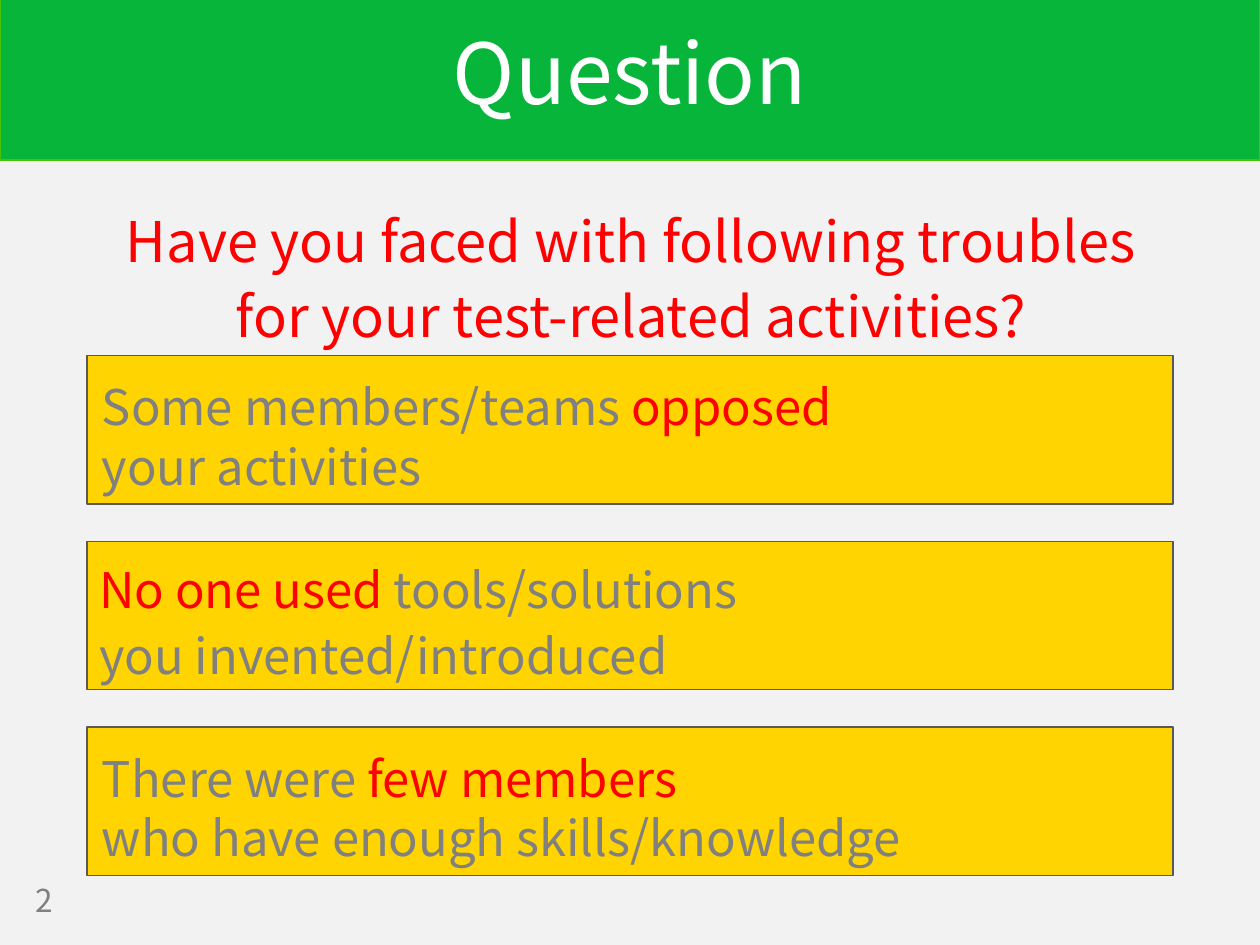
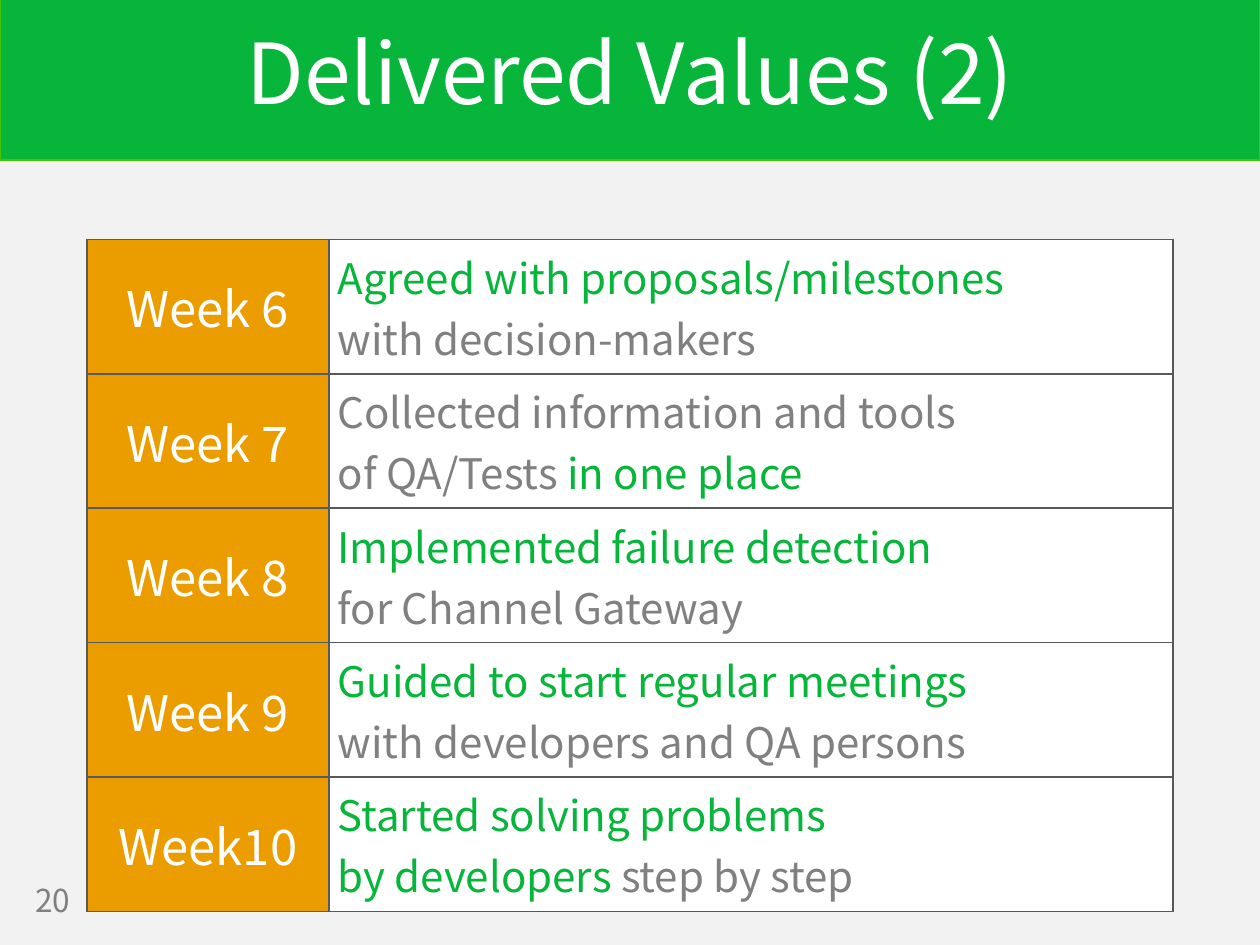
from lxml import etree
from pptx import Presentation
from pptx.dml.color import RGBColor
from pptx.enum import shapes, text
from pptx.oxml import ns
from pptx.util import Pt

COLORS = {
    "background": "F2F2F2", "band": "07B53B", "band_edge": "44C404",
    "white": "FFFFFF", "gray": "808080", "red": "FF0000", "green": "07B53B",
    "yellow": "FFD400", "orange": "EB9D00", "border": "595959",
}
FONT = "Noto Sans CJK JP"
WIDTH, HEIGHT = 720, 540
LEFT, CONTENT_WIDTH = 49.68, 620.64
LINE_PITCH, FIRST_LINE_DROP = 1.215, 0.236  # shares of the text size

# A paragraph is a list of (text, colour); "\n" at the end of a text breaks the line.
QUESTION = [
    [("Have you faced with following troubles", "red")],
    [("for your test-related activities?", "red")],
]
TROUBLES = [
    (1.44, [[("Some members/teams ", "gray"), ("opposed\n", "red"),
             ("your activities", "gray")]]),
    (0, [[("No one used", "red"), (" tools/solutions", "gray")],
         [("you invented/introduced", "gray")]]),
    (1.44, [[("There were ", "gray"), ("few members\n", "red"),
             ("who have enough skills/knowledge", "gray")]]),
]
WEEKS = [
    ("Week 6", [[("Agreed with proposals/milestones\n", "green"),
                 ("with decision-makers", "gray")]]),
    ("Week 7", [[("Collected information and tools", "gray")],
                [("of QA/Tests ", "gray"), ("in one place", "green")]]),
    ("Week 8", [[("Implemented failure detection", "green")],
                [("for Channel Gateway", "gray")]]),
    ("Week 9", [[("Guided to start regular meetings", "green")],
                [("with developers and QA persons", "gray")]]),
    ("Week10", [[("Started solving problems\n", "green"),
                 ("by developers", "green"), (" step by step", "gray")]]),
]


def rgb(name):
    return RGBColor.from_string(COLORS[name])


def write(frame, paragraphs, size, centered=False):
    frame.word_wrap = True
    frame.vertical_anchor = text.MSO_ANCHOR.MIDDLE
    for index, spans in enumerate(paragraphs):
        para = frame.add_paragraph() if index else frame.paragraphs[0]
        para.alignment = text.PP_ALIGN.CENTER if centered else text.PP_ALIGN.LEFT
        for content, color in spans:
            span = para.add_run()
            span.text = content.rstrip("\n")
            span.font.name, span.font.size = FONT, Pt(size)
            span.font.color.rgb = rgb(color)
            if content.endswith("\n"):
                para.add_line_break()


def tighten(frame, size, indent):
    """Set body text in close lines, with a small gap between paragraphs."""
    frame.margin_top = Pt(3.6 + FIRST_LINE_DROP * size)
    for index, para in enumerate(frame.paragraphs):
        para.line_spacing = Pt(round(LINE_PITCH * size, 1))
        para.space_before = Pt(3.8 if index else 0)
        properties = para._p.get_or_add_pPr()
        properties.set("marL", str(Pt(indent)))
        properties.set("indent", "0")


def add_text(page, place, paragraphs, size, centered=False):
    box = page.shapes.add_textbox(*map(Pt, place))
    write(box.text_frame, paragraphs, size, centered)
    return box


def add_panel(page, place, fill, line, line_width):
    panel = page.shapes.add_shape(shapes.MSO_SHAPE.RECTANGLE, *map(Pt, place))
    panel.shadow.inherit = False
    panel.fill.solid()
    panel.fill.fore_color.rgb = rgb(fill)
    panel.line.color.rgb = rgb(line)
    panel.line.width = Pt(line_width)
    return panel


def add_page(deck, title, number):
    page = deck.slides.add_slide(deck.slide_layouts[6])
    page.background.fill.solid()
    page.background.fill.fore_color.rgb = rgb("background")
    add_panel(page, (0, -0.72, WIDTH, 92.16), "band", "band_edge", 1)
    heading = add_text(page, (0, 25.92, WIDTH, 41.04), [[(title, "white")]], 48, True)
    heading.text_frame.margin_bottom = Pt(15.6)
    add_text(page, (12.96, 500.4, 56.88, 28.08), [[(number, "gray")]], 18)
    return page


def add_question_page(deck):
    page = add_page(deck, "Question", "2")
    question = add_text(page, (0, 90, WIDTH, 128.88), QUESTION, 32, True)
    tighten(question.text_frame, 32, 1.44)
    for index, (indent, paragraphs) in enumerate(TROUBLES):
        place = (LEFT, 203.04 + index * 106.2, CONTENT_WIDTH, 84.96)
        panel = add_panel(page, place, "yellow", "border", 0.75)
        write(panel.text_frame, paragraphs, 28)
        tighten(panel.text_frame, 28, indent)


def outline(cell):
    properties = cell._tc.get_or_add_tcPr()
    for index, side in enumerate(("a:lnL", "a:lnR", "a:lnT", "a:lnB")):
        line = etree.Element(ns.qn(side), w=str(Pt(1)))
        fill = etree.SubElement(line, ns.qn("a:solidFill"))
        etree.SubElement(fill, ns.qn("a:srgbClr"), val=COLORS["border"])
        properties.insert(index, line)


def fill_cell(cell, paragraphs, size, fill, centered=False):
    cell.fill.solid()
    cell.fill.fore_color.rgb = rgb(fill)
    cell.margin_left = cell.margin_right = Pt(5.04)
    cell.margin_top = cell.margin_bottom = Pt(3.6)
    write(cell.text_frame, paragraphs, size, centered)
    cell.vertical_anchor = text.MSO_ANCHOR.MIDDLE
    outline(cell)


def add_values_page(deck):
    page = add_page(deck, "Delivered Values (2)", "20")
    row_height, week_width = 76.8, 138.24
    place = (LEFT, 136.8, CONTENT_WIDTH, row_height * len(WEEKS))
    table = page.shapes.add_table(len(WEEKS), 2, *map(Pt, place)).table
    table.first_row = table.horz_banding = False
    table.columns[0].width = Pt(week_width)
    table.columns[1].width = Pt(CONTENT_WIDTH - week_width)
    for row, (week, value) in enumerate(WEEKS):
        table.rows[row].height = Pt(row_height)
        fill_cell(table.cell(row, 0), [[(week, "white")]], 28, "orange", True)
        fill_cell(table.cell(row, 1), value, 24, "white")


def main():
    deck = Presentation()
    deck.slide_width, deck.slide_height = Pt(WIDTH), Pt(HEIGHT)
    add_question_page(deck)
    add_values_page(deck)
    deck.save("out.pptx")


if __name__ == "__main__":
    main()
